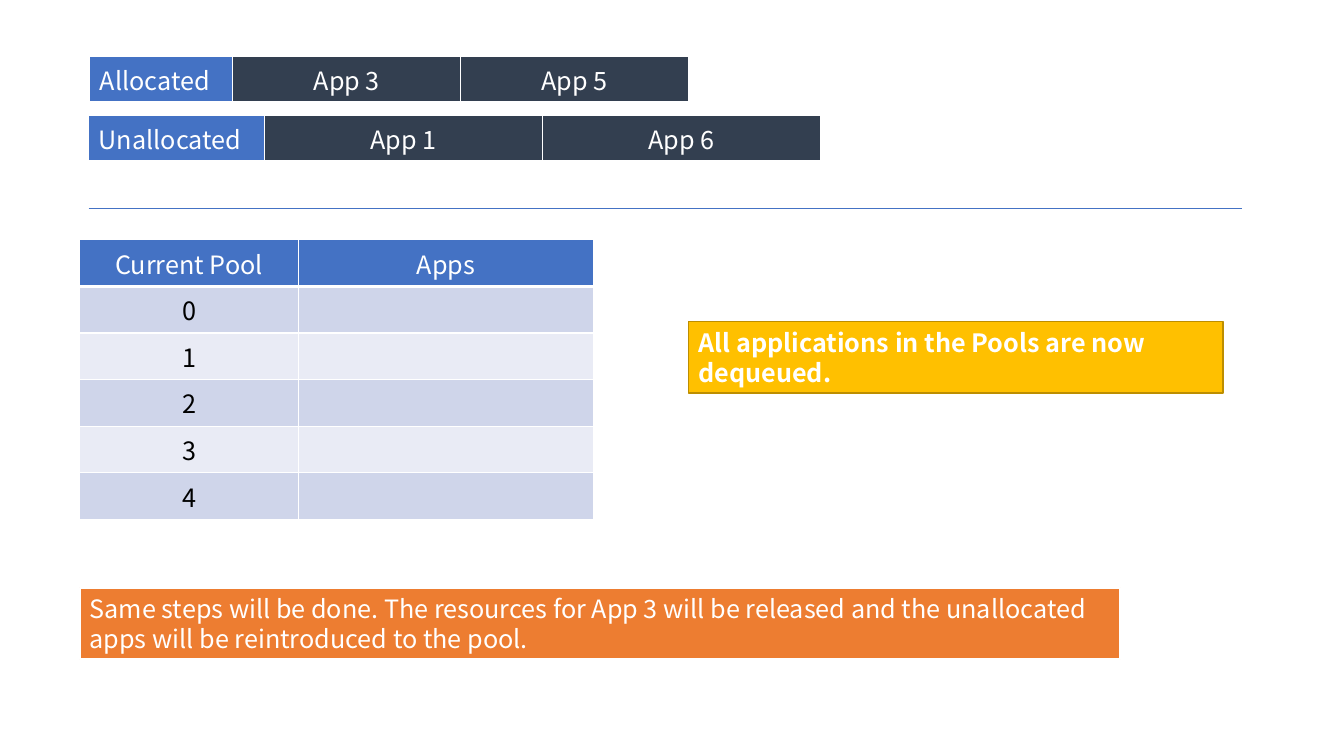
from lxml.etree import SubElement
from pptx import Presentation
from pptx.dml.color import RGBColor
from pptx.enum.shapes import MSO_CONNECTOR, MSO_SHAPE
from pptx.enum.text import MSO_AUTO_SIZE, PP_ALIGN
from pptx.oxml.ns import qn
from pptx.util import Inches, Pt

COLORS = {
    "white": "FFFFFF", "black": "000000", "blue": "4472C4", "navy": "333F50",
    "band_dark": "CFD5EA", "band_light": "E9EBF5",
    "gold": "FFC000", "gold_line": "BD8E00", "orange": "ED7D31",
}


def rgb(name):
    return RGBColor.from_string(COLORS[name])


class Deck:
    """Holds the text style and the current slide."""

    font, size = "Noto Sans CJK JP", Pt(18)

    def __init__(self, slide):
        self.slide = slide

    def text(self, tf, text, color="white", bold=False, align=PP_ALIGN.LEFT):
        p = tf.paragraphs[0]
        p.alignment = align
        p.font.size = self.size
        if text:
            r = p.add_run()
            r.text = text
            r.font.name, r.font.size, r.font.bold = self.font, self.size, bold
            r.font.color.rgb = rgb(color)

    def borders(self, cell, **widths):
        tcPr = cell._tc.get_or_add_tcPr()
        for side in "LRTB":
            ln = SubElement(tcPr, qn(f"a:ln{side}"), w=str(Pt(widths.get(side, 1))))
            fill = SubElement(ln, qn("a:solidFill"))
            SubElement(fill, qn("a:srgbClr"), val=COLORS["white"])

    def table(self, x, y, widths, row_height, rows, style):
        """style(row, col) gives fill, text colour and alignment."""
        frame = self.slide.shapes.add_table(
            len(rows), len(widths), Inches(x), Inches(y),
            Inches(sum(widths)), Inches(row_height * len(rows)))
        tbl = frame.table
        for col, width in zip(tbl.columns, widths):
            col.width = Inches(width)
        for i, row in enumerate(rows):
            for j, value in enumerate(row):
                cell = tbl.cell(i, j)
                fill, color, align = style(i, j)
                # Thick rule under the header row
                self.borders(cell, T=3 if i == 1 else 1, B=3 if i == 0 else 1)
                cell.fill.solid()
                cell.fill.fore_color.rgb = rgb(fill)
                self.text(cell.text_frame, value, color, align=align)

    def box(self, x, y, w, h, text, fill, line, weight, bold=False):
        sp = self.slide.shapes.add_shape(
            MSO_SHAPE.RECTANGLE, Inches(x), Inches(y), Inches(w), Inches(h))
        sp.shadow.inherit = False
        sp.fill.solid()
        sp.fill.fore_color.rgb = rgb(fill)
        sp.line.color.rgb = rgb(line)
        sp.line.width = Pt(weight)
        tf = sp.text_frame
        tf.word_wrap = True
        tf.auto_size = MSO_AUTO_SIZE.SHAPE_TO_FIT_TEXT
        self.text(tf, text, bold=bold)

    def rule(self, x1, x2, y, color, weight):
        line = self.slide.shapes.add_connector(
            MSO_CONNECTOR.STRAIGHT, Inches(x1), Inches(y), Inches(x2), Inches(y))
        line.line.color.rgb = rgb(color)
        line.line.width = Pt(weight)
        SubElement(line._element.spPr, qn("a:effectLst"))


def queue_style(i, j):
    if j == 0:
        return "blue", "white", PP_ALIGN.LEFT
    return "navy", "white", PP_ALIGN.CENTER


def pool_style(i, j):
    if i == 0:
        return "blue", "white", PP_ALIGN.CENTER
    return "band_dark" if i % 2 else "band_light", "black", PP_ALIGN.CENTER


def main():
    prs = Presentation()
    prs.slide_width, prs.slide_height = Inches(13.33), Inches(7.5)
    s = Deck(prs.slides.add_slide(prs.slide_layouts[6]))

    # Allocated and unallocated apps
    s.table(0.89, 0.56, [1.42, 2.26, 2.26], 0.41,
            [["Allocated", "App 3", "App 5"]], queue_style)
    s.table(0.88, 1.14, [1.74, 2.76, 2.76], 0.41,
            [["Unallocated", "App 1", "App 6"]], queue_style)
    s.rule(0.88, 12.32, 2.07, "blue", 0.5)

    # Pools, all empty
    pools = [[str(n), ""] for n in range(5)]
    s.table(0.79, 2.38, [2.17, 2.93], 0.45,
            [["Current Pool", "Apps"]] + pools, pool_style)

    # Remarks
    s.box(6.83, 3.19, 5.3, 0.71, "All applications in the Pools are now dequeued.",
          "gold", "gold_line", 1, bold=True)
    s.box(0.79, 5.83, 10.32, 0.71,
          "Same steps will be done. The resources for App 3 will be released "
          "and the unallocated apps will be reintroduced to the pool.",
          "orange", "white", 1.5)

    prs.save("out.pptx")


if __name__ == "__main__":
    main()
